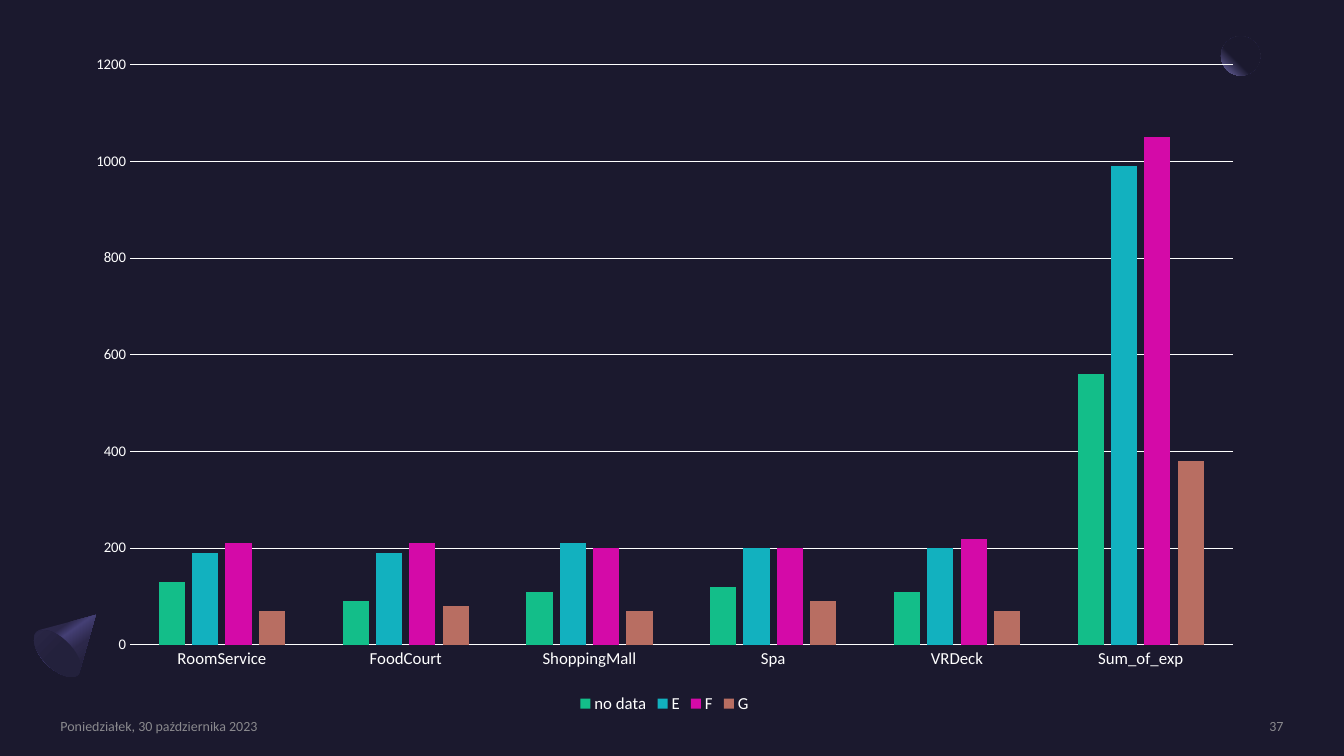
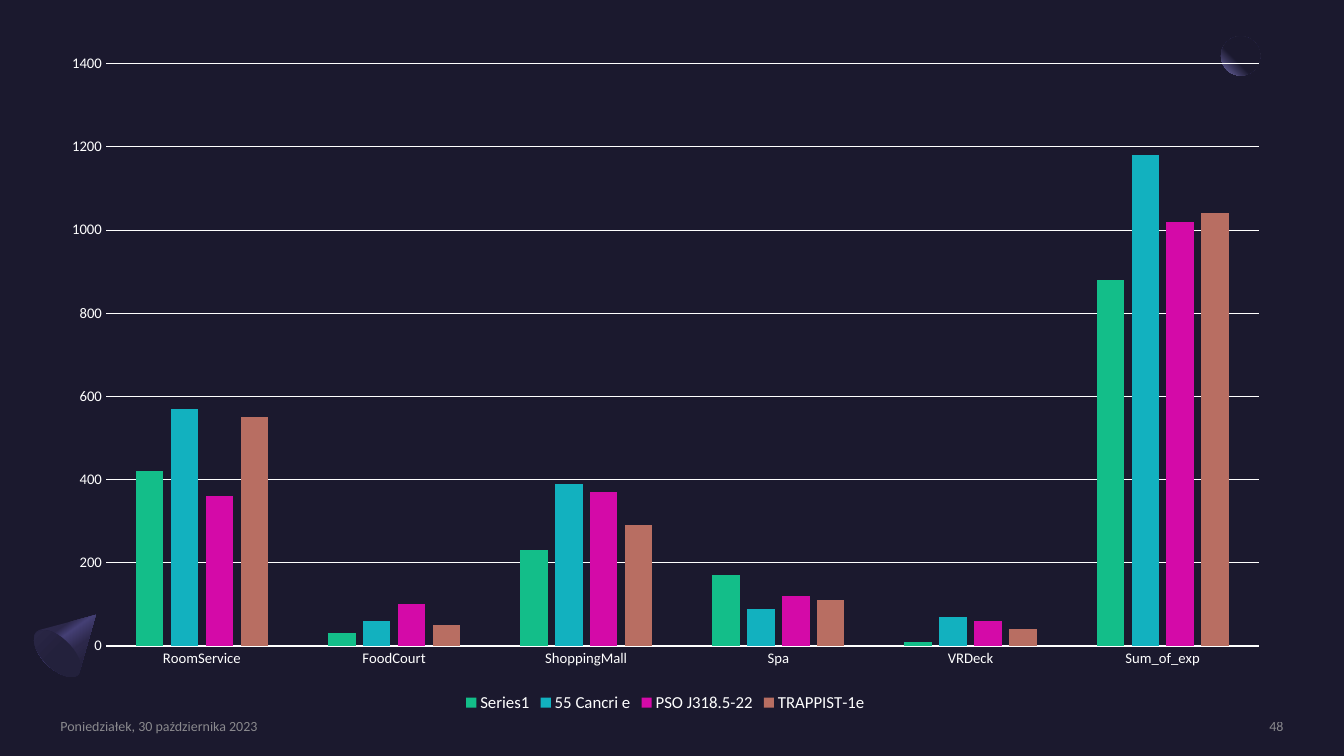
"""Build two dark slides with clustered column charts of guest spending."""
from dataclasses import dataclass

from pptx import Presentation
from pptx.chart.data import CategoryChartData as Data
from pptx.dml.color import RGBColor as Rgb
from pptx.enum.chart import XL_CHART_TYPE as Kind
from pptx.enum.chart import XL_LEGEND_POSITION as Place
from pptx.enum.chart import XL_TICK_MARK as Tick
from pptx.enum.shapes import MSO_SHAPE as Form
from pptx.enum.text import MSO_ANCHOR as Anchor
from pptx.enum.text import PP_ALIGN as Align
from pptx.oxml import parse_xml
from pptx.oxml.ns import nsdecls, qn
from pptx.util import Inches, Pt

Box = tuple[float, float, float, float]
Point = tuple[float, float]
Stops = list[tuple[int, str]]


@dataclass(frozen=True)
class Theme:
    back: str = "1B192E"
    ink: str = "FFFFFF"
    mute: str = "A6A6A6"
    glow: str = "7771B2"
    dusk: str = "2C284A"
    shine: str = "454075"
    base: str = "23213C"
    bars: tuple[str, ...] = ("13BE89", "12B1BF", "D40AA8", "B86E62")
    font: str = "Calibri"
    foot: float = 10
    tick: float = 10.5
    key: float = 12
    rule: float = 0.75


@dataclass(frozen=True)
class Page:
    number: str
    box: Box
    top: int
    label: float
    series: dict[str, tuple[int, ...]]


THEME = Theme()
DATE = "Poniedziałek, 30 października 2023"
CATS = ("RoomService", "FoodCourt", "ShoppingMall", "Spa", "VRDeck", "Sum_of_exp")
PAGES = (
    Page("37", (0.72, 0.42, 11.74, 6.7), 1200, THEME.key, {
        "no data": (130, 90, 110, 120, 110, 560),
        "E": (190, 190, 210, 200, 200, 990),
        "F": (210, 210, 200, 200, 220, 1050),
        "G": (70, 80, 70, 90, 70, 380),
    }),
    Page("48", (0.47, 0.41, 12.26, 6.7), 1400, THEME.tick, {
        "Series1": (420, 30, 230, 170, 10, 880),
        "55 Cancri e": (570, 60, 390, 90, 70, 1180),
        "PSO J318.5-22": (360, 100, 370, 120, 60, 1020),
        "TRAPPIST-1e": (550, 50, 290, 110, 40, 1040),
    }),
)
TIP: Point = (0.95, 6.1)
RIM: tuple[tuple[Point, Point, Point, Point], ...] = (
    ((0.79, 6.66), (0.79, 6.67), (0.78, 6.68), (0.78, 6.69)),
    ((0.78, 6.69), (0.72, 6.75), (0.58, 6.7), (0.46, 6.59)),
    ((0.46, 6.59), (0.35, 6.47), (0.3, 6.33), (0.36, 6.27)),
    ((0.36, 6.27), (0.37, 6.26), (0.38, 6.26), (0.39, 6.25)),
)


def curve(ends: tuple[Point, Point, Point, Point], steps: int = 12) -> list[Point]:
    a, b, c, d = ends
    points = []
    for step in range(steps + 1):
        t = step / steps
        u = 1 - t
        points.append(tuple(
            u**3 * a[i] + 3 * u * u * t * b[i] + 3 * u * t * t * c[i] + t**3 * d[i]
            for i in (0, 1)))
    return points


def shade(shape, stops: Stops, angle: int | None = None) -> None:
    shape.shadow.inherit = False
    shape.line.fill.background()
    shape.fill.solid()
    marks = "".join(
        f'<a:gs pos="{pos * 1000}"><a:srgbClr val="{tone}"/></a:gs>' for pos, tone in stops)
    if angle is None:
        flow = '<a:path path="circle"><a:fillToRect l="100000" b="100000"/></a:path>'
    else:
        flow = f'<a:lin ang="{angle * 60000}" scaled="0"/>'
    frame = shape.fill._xPr
    frame.replace(frame.find(qn("a:solidFill")), parse_xml(
        f'<a:gradFill {nsdecls("a")} rotWithShape="1">'
        f"<a:gsLst>{marks}</a:gsLst>{flow}</a:gradFill>"))


def oval(slide, box: Box, stops: Stops, angle: int | None = None, turn: int = 0) -> None:
    shape = slide.shapes.add_shape(Form.OVAL, *map(Inches, box))
    shape.rotation = turn
    shade(shape, stops, angle)


def cone(slide) -> None:
    points = [point for part in RIM for point in curve(part)]
    path = [(Inches(x), Inches(y)) for x, y in points]
    build = slide.shapes.build_freeform(Inches(TIP[0]), Inches(TIP[1]))
    build.add_line_segments(path, close=True)
    shade(build.convert_to_shape(), [(30, THEME.dusk), (40, THEME.shine),
                                     (60, THEME.dusk), (100, THEME.back)], 55)
    oval(slide, (0.42, 6.19, 0.3, 0.59), [(50, THEME.base), (100, THEME.dusk)], 90, 135)


def style(font, size: float, tone: str) -> None:
    font.name = THEME.font
    font.size = Pt(size)
    font.color.rgb = Rgb.from_string(tone)


def note(slide, box: Box, text: str, align: Align) -> None:
    frame = slide.shapes.add_textbox(*map(Inches, box)).text_frame
    frame.word_wrap = True
    frame.vertical_anchor = Anchor.MIDDLE
    frame.margin_left = frame.margin_right = frame.margin_top = frame.margin_bottom = 0
    frame.text = text
    line = frame.paragraphs[0]
    line.alignment = align
    run = line.runs[0]
    style(run.font, THEME.foot, THEME.mute)
    tone = run._r.find(".//" + qn("a:srgbClr"))
    tone.append(parse_xml(f'<a:alpha {nsdecls("a")} val="80000"/>'))


def rule(line) -> None:
    line.color.rgb = Rgb.from_string(THEME.ink)
    line.width = Pt(THEME.rule)


def plot(slide, page: Page) -> None:
    data = Data(number_format="0")
    data.categories = CATS
    for name, vals in page.series.items():
        data.add_series(name, vals)
    chart = slide.shapes.add_chart(
        Kind.COLUMN_CLUSTERED, *map(Inches, page.box), data).chart
    style(chart.font, THEME.foot, THEME.ink)
    chart.has_title = False
    chart.has_legend = True
    chart.legend.position = Place.BOTTOM
    chart.legend.include_in_layout = False
    style(chart.legend.font, THEME.key, THEME.ink)
    bars = chart.plots[0]
    bars.vary_by_categories = False
    bars.gap_width = 219
    bars.overlap = -27
    for series, tone in zip(bars.series, THEME.bars):
        series.format.fill.solid()
        series.format.fill.fore_color.rgb = Rgb.from_string(tone)
    cats, vals = chart.category_axis, chart.value_axis
    for axis, size in ((cats, page.label), (vals, THEME.tick)):
        axis.major_tick_mark = axis.minor_tick_mark = Tick.NONE
        style(axis.tick_labels.font, size, THEME.ink)
    rule(cats.format.line)
    vals.format.line.fill.background()
    vals.has_major_gridlines = True
    rule(vals.major_gridlines.format.line)
    vals.minimum_scale = 0
    vals.maximum_scale = page.top
    vals.major_unit = 200
    vals.tick_labels.number_format = "0"
    vals.tick_labels.number_format_is_linked = False


def draw(deck, page: Page) -> None:
    slide = deck.slides.add_slide(deck.slide_layouts[6])
    oval(slide, (12.11, 0.36, 0.39, 0.39), [(60, THEME.back), (100, THEME.glow)])
    cone(slide)
    note(slide, (0.6, 7.12, 2.88, 0.17), DATE, Align.LEFT)
    note(slide, (10.88, 7.12, 1.85, 0.17), page.number, Align.RIGHT)
    plot(slide, page)


def main() -> None:
    deck = Presentation()
    deck.slide_width, deck.slide_height = Inches(13.33), Inches(7.5)
    fill = deck.slide_master.background.fill
    fill.solid()
    fill.fore_color.rgb = Rgb.from_string(THEME.back)
    for page in PAGES:
        draw(deck, page)
    deck.save("out.pptx")


if __name__ == "__main__":
    main()
